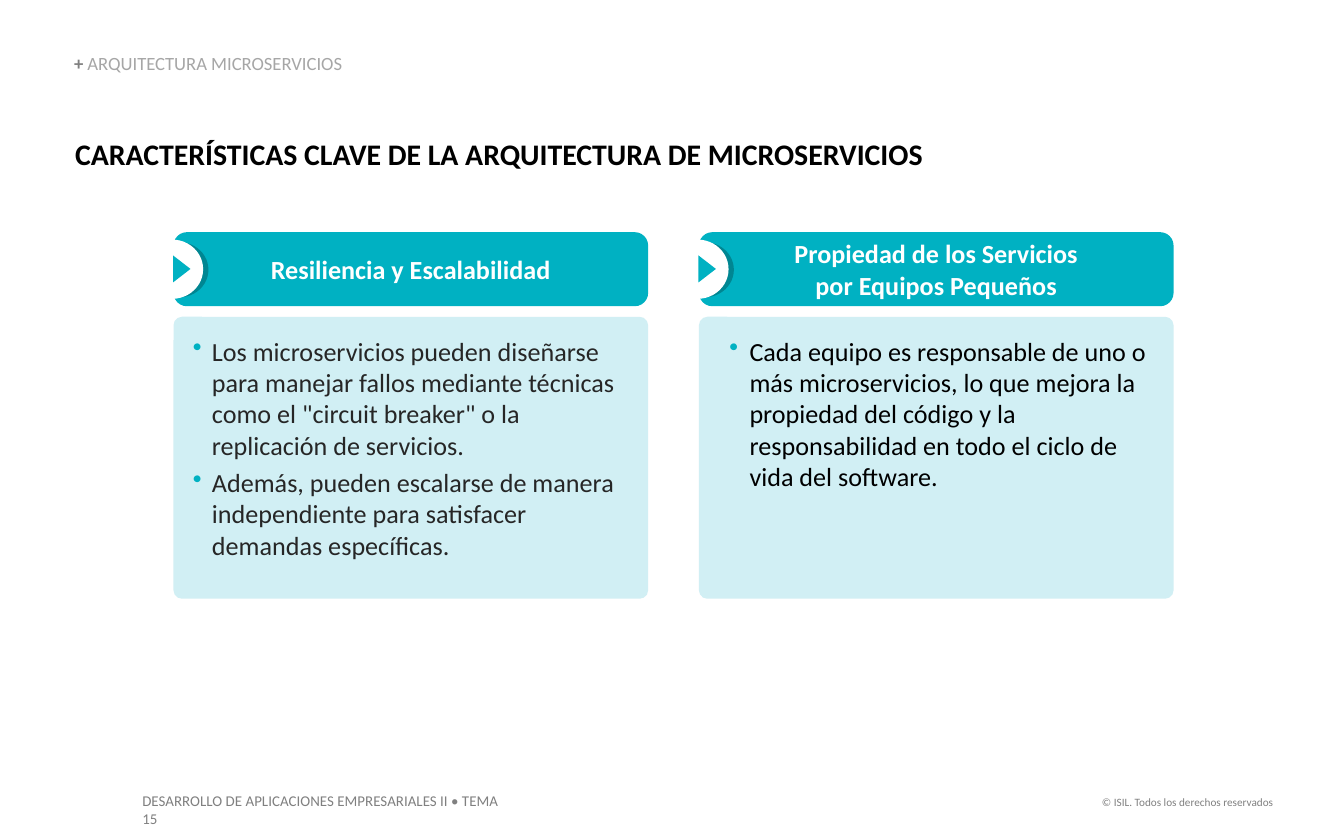
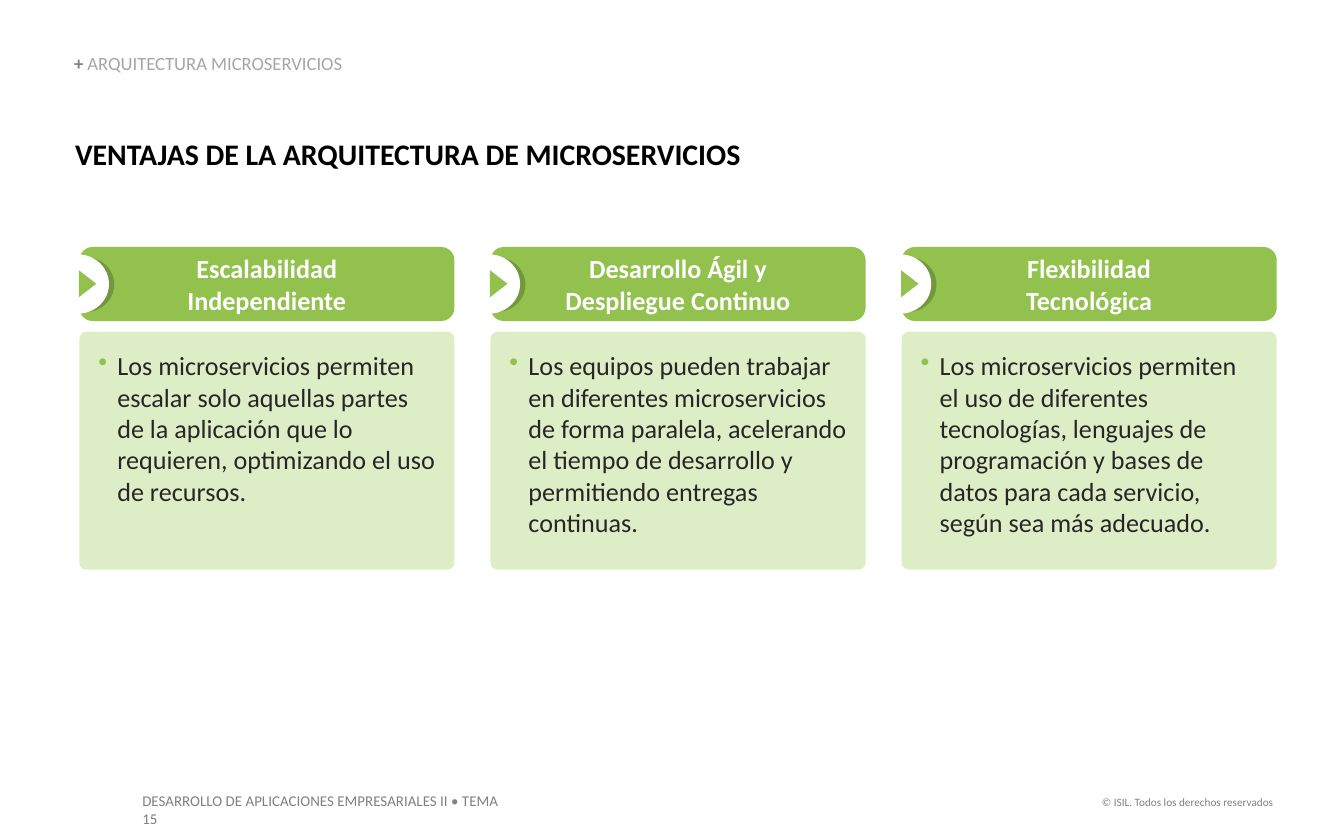
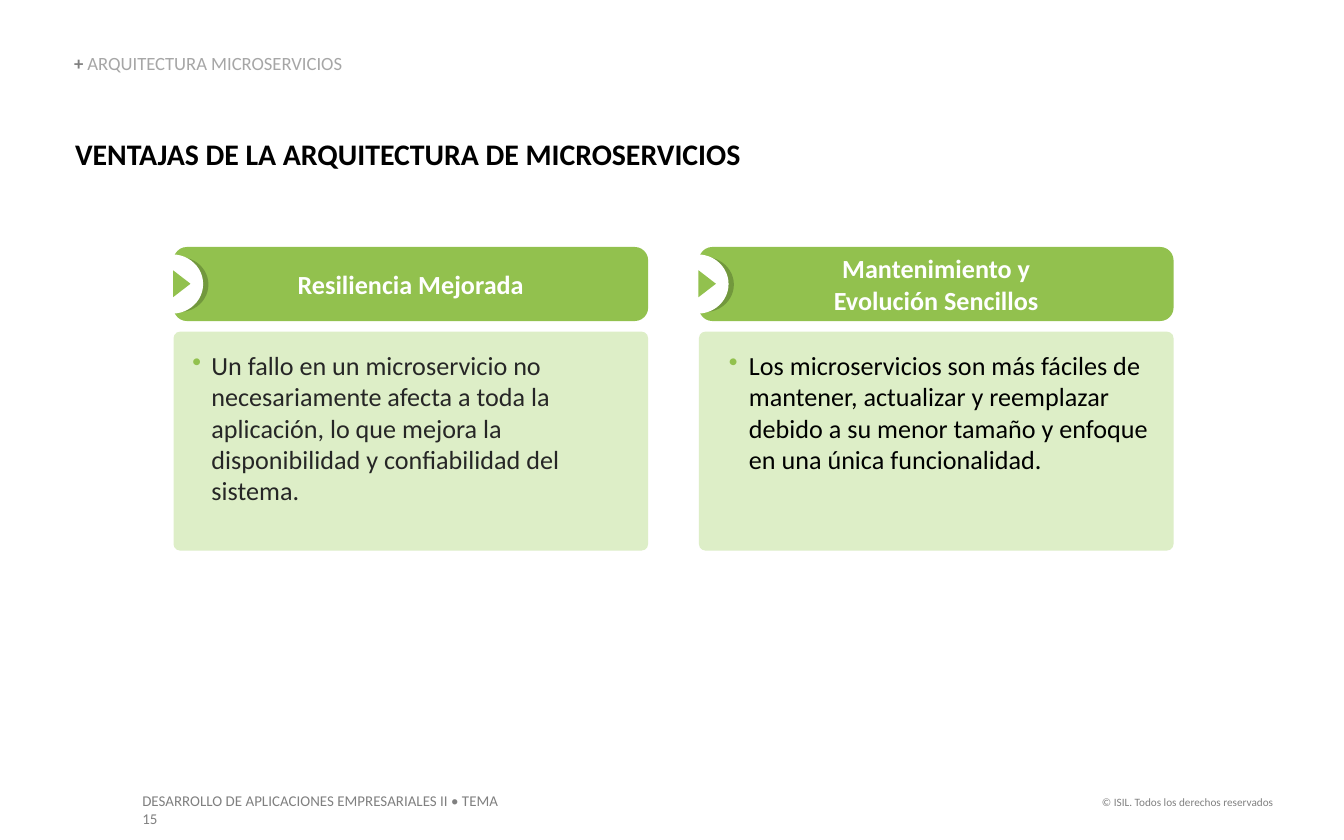
from lxml import etree
from pptx import Presentation
from pptx.dml.color import RGBColor
from pptx.enum.shapes import MSO_SHAPE
from pptx.enum.text import MSO_ANCHOR, MSO_AUTO_SIZE, PP_ALIGN
from pptx.oxml.ns import qn
from pptx.util import Cm, Pt

ROUNDED = MSO_SHAPE.ROUNDED_RECTANGLE
OVAL = MSO_SHAPE.OVAL
TRIANGLE = MSO_SHAPE.ISOSCELES_TRIANGLE
TOP, MIDDLE, BOTTOM = MSO_ANCHOR.TOP, MSO_ANCHOR.MIDDLE, MSO_ANCHOR.BOTTOM
LEFT, CENTER, RIGHT = PP_ALIGN.LEFT, PP_ALIGN.CENTER, PP_ALIGN.RIGHT
NO_FIT = MSO_AUTO_SIZE.NONE

FONT = "Calibri"
BLACK = RGBColor(0x00, 0x00, 0x00)
WHITE = RGBColor(0xFF, 0xFF, 0xFF)
CHARCOAL = RGBColor(0x26, 0x26, 0x26)
GRAY = RGBColor(0x80, 0x80, 0x80)
LIGHT_GRAY = RGBColor(0xA6, 0xA6, 0xA6)
TEAL = {
    "main": RGBColor(0x00, 0xB1, 0xC2),
    "dark": RGBColor(0x00, 0x86, 0x92),
    "pale": RGBColor(0xD1, 0xEF, 0xF4),
}
GREEN = {
    "main": RGBColor(0x92, 0xC1, 0x4E),
    "dark": RGBColor(0x72, 0x98, 0x3D),
    "pale": RGBColor(0xDD, 0xEE, 0xC7),
}

TOPIC = "ARQUITECTURA MICROSERVICIOS"
COURSE = "DESARROLLO DE APLICACIONES EMPRESARIALES II • TEMA 15"
COPYRIGHT = "© ISIL. Todos los derechos reservados"

TWO_COLUMNS = {"left": 3.28, "width": 8.97, "pitch": 9.93}
THREE_COLUMNS = {"left": 1.5, "width": 7.09, "pitch": 7.77}
NEAR = {"color": CHARCOAL, "margin": 0.38, "hang": 0.36}
FAR = {"color": BLACK, "margin": 0.61, "hang": 0.38}

SLIDES = [
    {
        "title": "CARACTERÍSTICAS CLAVE DE LA ARQUITECTURA DE MICROSERVICIOS",
        "palette": TEAL, "columns": TWO_COLUMNS, "top": 4.39, "panel": 5.33,
        "cards": [
            (["Resiliencia y Escalabilidad"],
             ["Los microservicios pueden diseñarse para manejar fallos mediante "
              "técnicas como el \"circuit breaker\" o la replicación de servicios.",
              "Además, pueden escalarse de manera independiente para satisfacer "
              "demandas específicas."], NEAR),
            (["Propiedad de los Servicios", "por Equipos Pequeños"],
             ["Cada equipo es responsable de uno o más microservicios, lo que "
              "mejora la propiedad del código y la responsabilidad en todo el "
              "ciclo de vida del software."], FAR),
        ],
    },
    {
        "title": "VENTAJAS DE LA ARQUITECTURA DE MICROSERVICIOS",
        "palette": GREEN, "columns": THREE_COLUMNS, "top": 4.67, "panel": 4.5,
        "cards": [
            (["Escalabilidad", "Independiente"],
             ["Los microservicios permiten escalar solo aquellas partes de la "
              "aplicación que lo requieren, optimizando el uso de recursos."], NEAR),
            (["Desarrollo Ágil y", "Despliegue Continuo"],
             ["Los equipos pueden trabajar en diferentes microservicios de forma "
              "paralela, acelerando el tiempo de desarrollo y permitiendo "
              "entregas continuas."], NEAR),
            (["Flexibilidad", "Tecnológica"],
             ["Los microservicios permiten el uso de diferentes tecnologías, "
              "lenguajes de programación y bases de datos para cada servicio, "
              "según sea más adecuado."], NEAR),
        ],
    },
    {
        "title": "VENTAJAS DE LA ARQUITECTURA DE MICROSERVICIOS",
        "palette": GREEN, "columns": TWO_COLUMNS, "top": 4.67, "panel": 4.14,
        "cards": [
            (["Resiliencia Mejorada"],
             ["Un fallo en un microservicio no necesariamente afecta a toda la "
              "aplicación, lo que mejora la disponibilidad y confiabilidad del "
              "sistema."], NEAR),
            (["Mantenimiento y", "Evolución Sencillos"],
             ["Los microservicios son más fáciles de mantener, actualizar y "
              "reemplazar debido a su menor tamaño y enfoque en una única "
              "funcionalidad."], FAR),
        ],
    },
]


def style(font, size, color, bold=False):
    font.name = FONT
    font.size = Pt(size)
    font.color.rgb = color
    font.bold = bold


def set_frame(frame, anchor, margins):
    frame.word_wrap = True
    frame.auto_size = NO_FIT
    frame.vertical_anchor = anchor
    (frame.margin_left, frame.margin_top,
     frame.margin_right, frame.margin_bottom) = [Cm(margin) for margin in margins]


def write(frame, lines, size, color, bold=False, align=LEFT):
    frame.text = "\n".join(lines)
    for para in frame.paragraphs:
        para.alignment = align
        style(para.font, size, color, bold)


def add_box(page, left, top, width, height):
    return page.shapes.add_textbox(Cm(left), Cm(top), Cm(width), Cm(height))


def add_filled(group, kind, left, top, width, height, color):
    shape = group.shapes.add_shape(kind, Cm(left), Cm(top), Cm(width), Cm(height))
    shape.shadow.inherit = False
    shape.fill.solid()
    shape.fill.fore_color.rgb = color
    shape.line.fill.background()
    return shape


def add_bullet(para, color, margin, hang):
    properties = para._p.get_or_add_pPr()
    properties.set("marL", str(Cm(margin)))
    properties.set("indent", str(-Cm(hang)))
    bullet_color = etree.SubElement(properties, qn("a:buClr"))
    etree.SubElement(bullet_color, qn("a:srgbClr"), val=str(color))
    etree.SubElement(properties, qn("a:buChar"), char="•")


def add_card(page, left, top, width, panel_height, palette, card):
    heading, points, look = card
    group = page.shapes.add_group_shape()

    banner = add_filled(group, ROUNDED, left, top, width, 1.4, palette["main"])
    banner.adjustments[0] = 0.18
    set_frame(banner.text_frame, MIDDLE, (0.25, 0.13, 0.25, 0.13))
    write(banner.text_frame, heading, 14, WHITE, True, CENTER)

    panel = add_filled(group, ROUNDED, left, top + 1.6, width, panel_height,
                       palette["pale"])
    panel.adjustments[0] = 0.03
    frame = panel.text_frame
    set_frame(frame, TOP, (0.3, 0.3, 0.3, 0.13))
    frame.text = "\n".join(points)
    for para in frame.paragraphs:
        add_bullet(para, palette["main"], look["margin"], look["hang"])
        para.alignment = LEFT
        para.space_after = Pt(3)
        style(para.font, 14, look["color"])

    add_filled(group, OVAL, left - 0.43, top + 0.19, 1.09, 1.04, palette["dark"])
    add_filled(group, OVAL, left - 0.61, top + 0.14, 1.17, 1.12, WHITE)
    arrow = add_filled(group, TRIANGLE, left - 0.1, top + 0.53, 0.51, 0.33,
                       palette["main"])
    arrow.rotation = 90


def add_heading(page, text):
    title = page.shapes.title
    title.left, title.top, title.width, title.height = (
        Cm(1.42), Cm(2.57), Cm(22.33), Cm(0.69))
    set_frame(title.text_frame, TOP, (0, 0, 0, 0))
    write(title.text_frame, [text], 16, BLACK, True)

    topic = add_box(page, 1.4, 1.04, 6.76, 0.38)
    set_frame(topic.text_frame, BOTTOM, (0, 0, 0, 0))
    para = topic.text_frame.paragraphs[0]
    para.line_spacing = 0.9
    for text, color, bold in (("+ ", GRAY, True), (TOPIC, LIGHT_GRAY, False)):
        span = para.add_run()
        span.text = text
        style(span.font, 10, color, bold)


def move_footers_to_layout(page):
    layout = page.slide_layout
    for holder in list(layout.placeholders)[1:]:
        layout.shapes.element.remove(holder.element)
    for text, left, top, width, height, size, align in (
            (COPYRIGHT, 20.5, 14.91, 3.81, 0.51, 6, RIGHT),
            (COURSE, 2.44, 14.83, 7.45, 0.61, 8, LEFT)):
        box = add_box(page, left, top, width, height)
        set_frame(box.text_frame, TOP, (0.25, 0.13, 0.25, 0.13))
        write(box.text_frame, [text], size, GRAY, align=align)
        layout.shapes.element.append(box.element)


def main():
    deck = Presentation()
    deck.slide_width, deck.slide_height = Cm(25.4), Cm(15.88)
    title_only = deck.slide_layouts[5]
    for number, content in enumerate(SLIDES):
        page = deck.slides.add_slide(title_only)
        if number == 0:
            move_footers_to_layout(page)
        add_heading(page, content["title"])
        columns = content["columns"]
        for column, card in enumerate(content["cards"]):
            add_card(page, columns["left"] + column * columns["pitch"],
                     content["top"], columns["width"], content["panel"],
                     content["palette"], card)
    deck.save("out.pptx")


if __name__ == "__main__":
    main()
